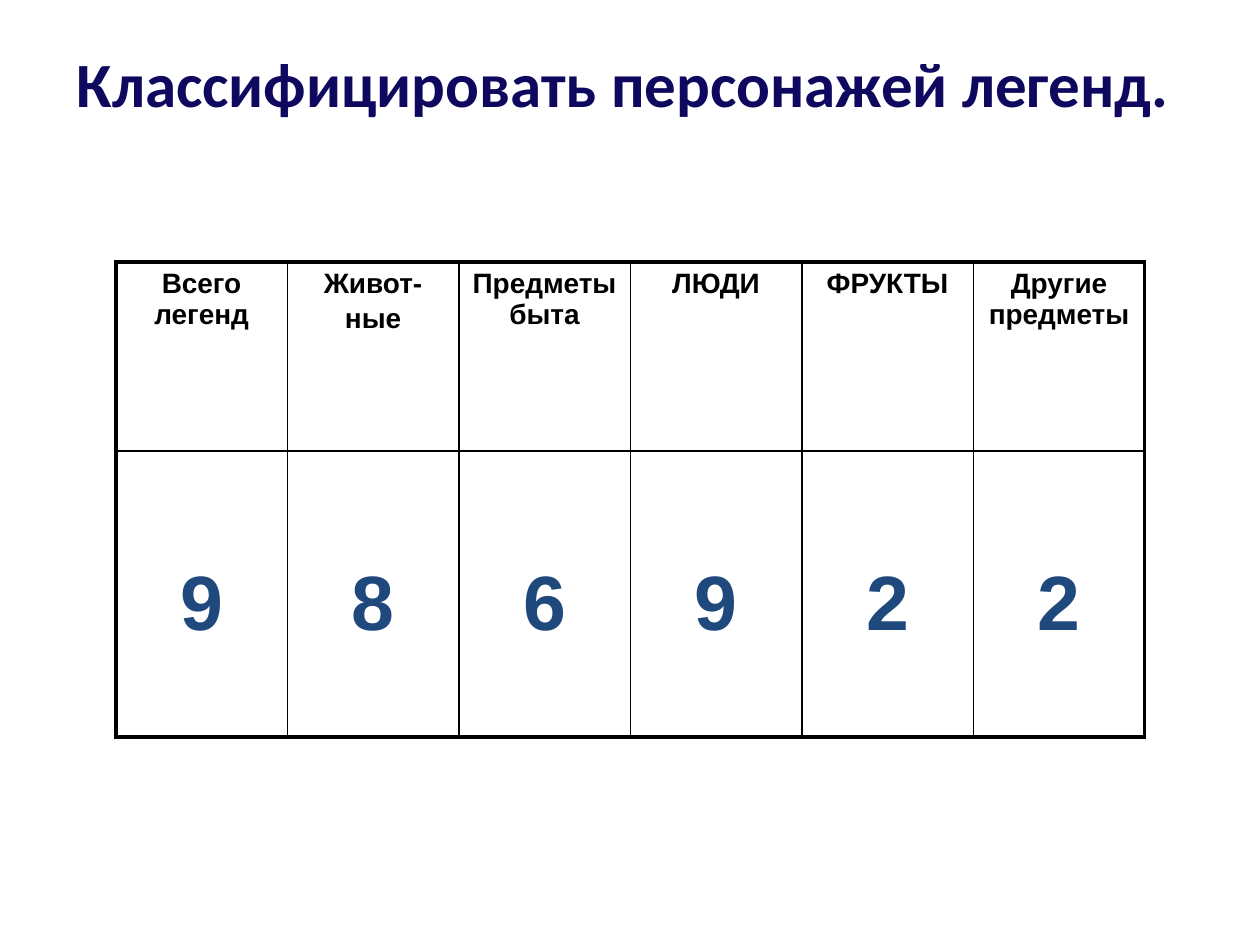
from lxml import etree
from pptx import Presentation
from pptx.dml.color import RGBColor
from pptx.enum.text import MSO_ANCHOR, PP_ALIGN
from pptx.oxml.ns import qn
from pptx.util import Pt

CENTER = PP_ALIGN.CENTER
TOP = MSO_ANCHOR.TOP
TITLE_ONLY = 5

TITLE_FORMAT = {"name": "Calibri", "size": Pt(36), "bold": True, "color": "0E085E"}
HEADER_FORMAT = {"name": "Arial", "size": Pt(16), "bold": True, "color": "000000"}
COUNT_FORMAT = {"name": "Arial", "size": Pt(44), "bold": True, "color": "1F497D"}

CATEGORIES = [
    ("Всего легенд", "9"),
    ("Живот-\nные", "8"),
    ("Предметы быта", "6"),
    ("ЛЮДИ", "9"),
    ("ФРУКТЫ", "2"),
    ("Другие предметы", "2"),
]
ROW_HEIGHTS = [108, 163.4]
ROW_FORMATS = [HEADER_FORMAT, COUNT_FORMAT]
ROW_TOP_MARGINS = [3.6, 62.4]
OUTER_LINE = 2.25
INNER_LINE = 1


def set_color(target, value):
    target.rgb = RGBColor.from_string(value)


def write_text(text_frame, text, text_format):
    text_frame.text = text
    for index, paragraph in enumerate(text_frame.paragraphs):
        paragraph.alignment = CENTER
        paragraph.space_before = Pt(2.2 if index else 0)
        for run in paragraph.runs:
            for attribute, value in text_format.items():
                if attribute == "color":
                    set_color(run.font.color, value)
                else:
                    setattr(run.font, attribute, value)


def set_borders(cell, widths, color):
    properties = cell._tc.get_or_add_tcPr()
    for index, (side, width) in enumerate(widths.items()):
        line = etree.Element(qn(f"a:ln{side}"), w=str(Pt(width)))
        fill = etree.SubElement(line, qn("a:solidFill"))
        etree.SubElement(fill, qn("a:srgbClr"), val=color)
        properties.insert(index, line)


def add_title(slide, left, top, width, height):
    title = slide.shapes.title
    box = {"left": left, "top": top, "width": width, "height": height}
    for attribute, value in box.items():
        setattr(title, attribute, Pt(value))
    title.text_frame.word_wrap = True
    title.text_frame.vertical_anchor = TOP
    write_text(title.text_frame, "Классифицировать персонажей легенд. ", TITLE_FORMAT)


def add_category_table(slide, left, top, width, height):
    row_count, column_count = len(ROW_HEIGHTS), len(CATEGORIES)
    table = slide.shapes.add_table(
        row_count, column_count, Pt(left), Pt(top), Pt(width), Pt(height)
    ).table
    table.first_row = False
    table.horz_banding = False
    for column in table.columns:
        column.width = Pt(width / column_count)
    for row, row_height in zip(table.rows, ROW_HEIGHTS):
        row.height = Pt(row_height)

    for column_index, texts in enumerate(CATEGORIES):
        for row_index, text in enumerate(texts):
            cell = table.cell(row_index, column_index)
            cell.fill.background()
            cell.vertical_anchor = TOP
            cell.margin_top = Pt(ROW_TOP_MARGINS[row_index])
            write_text(cell.text_frame, text, ROW_FORMATS[row_index])
            outer_sides = {
                "L": column_index == 0,
                "R": column_index == column_count - 1,
                "T": row_index == 0,
                "B": row_index == row_count - 1,
            }
            widths = {
                side: OUTER_LINE if outer else INNER_LINE
                for side, outer in outer_sides.items()
            }
            set_borders(cell, widths, "000000")


def main():
    presentation = Presentation()
    presentation.slide_width = Pt(720)
    presentation.slide_height = Pt(540)
    slide = presentation.slides.add_slide(presentation.slide_layouts[TITLE_ONLY])
    add_title(slide, 36, 21.6, 648, 90)
    add_category_table(slide, 66.2, 149.8, 588, sum(ROW_HEIGHTS))
    presentation.save("out.pptx")


if __name__ == "__main__":
    main()
